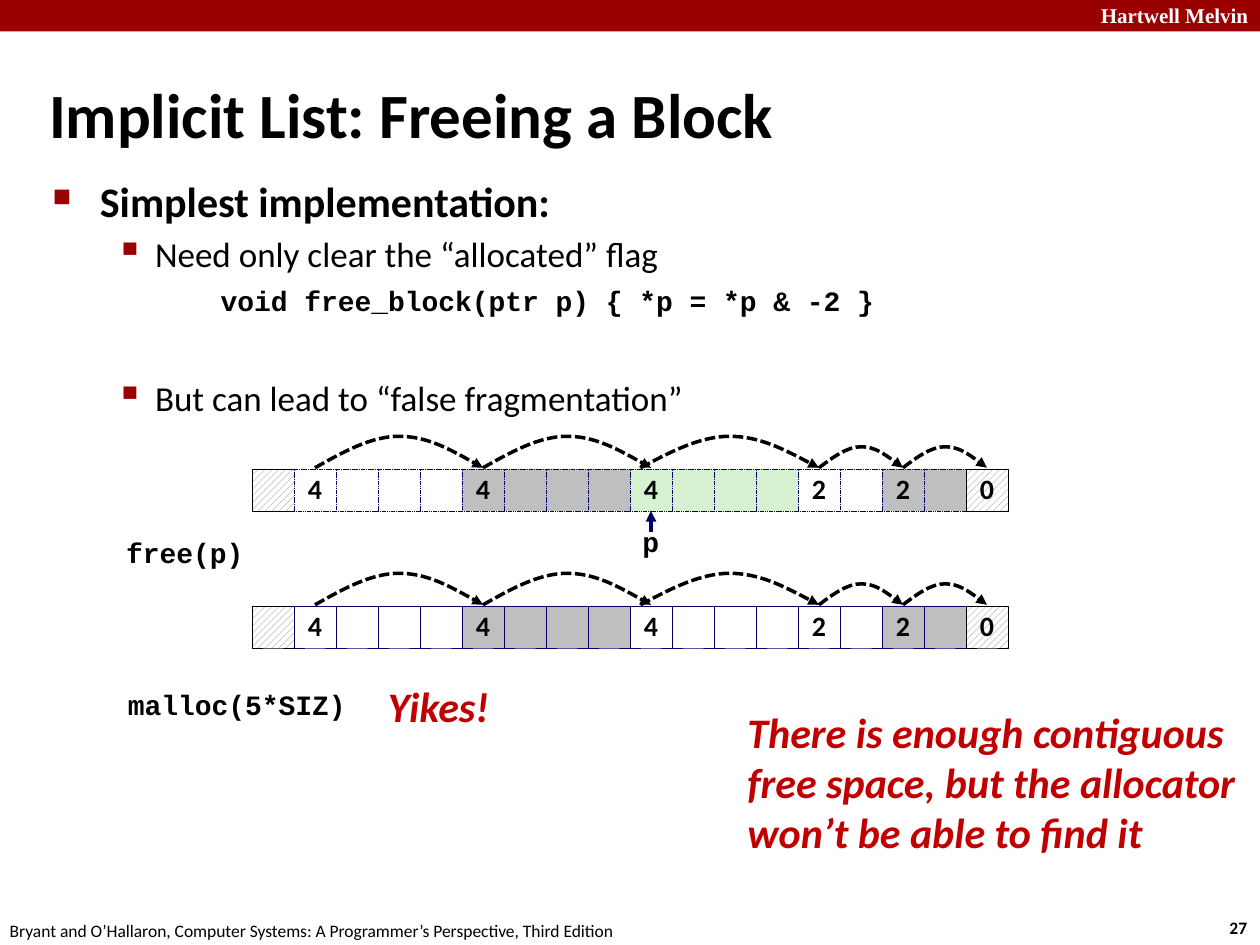
from lxml.etree import SubElement
from pptx import Presentation
from pptx.dml.color import RGBColor
from pptx.enum.dml import MSO_LINE, MSO_PATTERN
from pptx.enum.shapes import MSO_CONNECTOR, MSO_SHAPE
from pptx.enum.text import MSO_ANCHOR, PP_ALIGN
from pptx.oxml.ns import qn
from pptx.util import Pt

BLACK, WHITE, GRAY, GREEN = "000000", "FFFFFF", "BFBFBF", "D5F1CF"
CRIMSON, WARNING, NAVY = "990000", "C00000", "000066"
WORD = 24
HEAP_LEFT = 144
P_BLOCK = 2

LABEL = {"size": Pt(16), "name": "Calibri", "bold": True}
CODE = {"size": Pt(16), "name": "Courier New", "bold": True}
SMALL = {"size": Pt(10), "name": "Calibri"}
ALERT = {"size": Pt(24), "name": "Calibri", "bold": True, "italic": True}
HEADING = {"size": Pt(24), "name": "Calibri", "bold": True}
POINT = {"size": Pt(20), "name": "Calibri"}

# text, font, colour of bullet text, left margin, hanging indent, space before, bullet
BODY = [
    ("Simplest implementation:", HEADING, 27, 27, 4.8, ("■", 60)),
    ("Need only clear the “allocated” flag", POINT, 58.5, 22.5, 4, ("▪", 110)),
    ("void free_block(ptr p) { *p = *p & -2 }", CODE, 96, 0, 5.4, None),
    ("But can lead to “false fragmentation”", POINT, 58.5, 22.5, 33.8, ("▪", 110)),
]


def rgb(hex_colour):
    return RGBColor.from_string(hex_colour)


def apply(target, values):
    for name, value in values.items():
        setattr(target, name, value)


def write(paragraph, text, font, colour, **layout):
    """Fill a paragraph; a vertical tab in the text becomes a line break."""
    paragraph.text = text
    apply(paragraph, layout)
    for run in paragraph.runs:
        apply(run.font, font)
        run.font.color.rgb = rgb(colour)


def add_text(slide, box, text, font, colour=BLACK, anchor=MSO_ANCHOR.TOP,
             wrap=False, **layout):
    frame = slide.shapes.add_textbox(*map(Pt, box)).text_frame
    apply(frame, {"word_wrap": wrap, "vertical_anchor": anchor})
    write(frame.paragraphs[0], text, font, colour, **layout)
    return frame


def add_bullet(properties, mark, percent):
    colour = SubElement(properties, qn("a:buClr"))
    SubElement(colour, qn("a:srgbClr"), val=CRIMSON)
    SubElement(properties, qn("a:buSzPct"), val=str(percent * 1000))
    SubElement(properties, qn("a:buChar"), char=mark)


def add_body(slide):
    frame = slide.shapes.add_textbox(*map(Pt, (23, 96.5, 654.5, 342))).text_frame
    frame.word_wrap = True
    for number, (text, font, margin, hang, before, bullet) in enumerate(BODY):
        paragraph = frame.add_paragraph() if number else frame.paragraphs[0]
        write(paragraph, text, font, BLACK, space_before=Pt(before))
        properties = paragraph._p.get_or_add_pPr()
        properties.set("marL", str(Pt(margin)))
        properties.set("indent", str(-Pt(hang)))
        if bullet:
            add_bullet(properties, *bullet)


def add_word(slide, index, top, fill, text="", dash=None):
    """Draw one word of the heap; a fill of None means a hatched boundary word."""
    word = slide.shapes.add_shape(
        MSO_SHAPE.RECTANGLE, Pt(HEAP_LEFT + index * WORD), Pt(top), Pt(WORD), Pt(WORD))
    word.shadow.inherit = False
    if fill:
        word.fill.solid()
        word.fill.fore_color.rgb = rgb(fill)
    else:
        word.fill.patterned()
        word.fill.pattern = MSO_PATTERN.WIDE_UPWARD_DIAGONAL
        word.fill.fore_color.rgb = rgb("808080")
        word.fill.back_color.rgb = rgb(WHITE)
    word.line.color.rgb = rgb(NAVY if fill else BLACK)
    apply(word.line, {"width": Pt(0.25), "dash_style": dash})
    if text:
        apply(word.text_frame, {"word_wrap": False, "vertical_anchor": MSO_ANCHOR.MIDDLE})
        write(word.text_frame.paragraphs[0], text, LABEL, BLACK,
              alignment=PP_ALIGN.CENTER, line_spacing=0.98)


def add_arrowhead(shape):
    SubElement(shape.line._get_or_add_ln(), qn("a:tailEnd"), type="triangle")


def add_hop(slide, start, end, base, height):
    """Draw a dashed arc, made of two Bézier curves, to the next block."""
    controls = [(1 / 6, 0.5), (1 / 3, 1), (1 / 2, 1), (2 / 3, 1), (5 / 6, 0.5), (1, 0)]
    builder = slide.shapes.build_freeform(Pt(start), Pt(base))
    builder.add_line_segments(
        [(Pt(start + x * (end - start)), Pt(base - y * height)) for x, y in controls],
        close=False)
    hop = builder.convert_to_shape()
    segments = hop._element.xpath(".//a:lnTo")
    for first in (0, 3):
        curve = segments[first]
        curve.tag = qn("a:cubicBezTo")
        for segment in segments[first + 1:first + 3]:
            curve.append(segment[0])
            segment.getparent().remove(segment)
    hop.shadow.inherit = False
    hop.fill.background()
    hop.line.color.rgb = rgb(BLACK)
    apply(hop.line, {"width": Pt(2), "dash_style": MSO_LINE.SQUARE_DOT})
    add_arrowhead(hop)


def add_heap(slide, top, p_fill, dash=None):
    blocks = [(4, WHITE), (4, GRAY), (4, p_fill), (2, WHITE), (2, GRAY)]
    add_word(slide, 0, top, None)
    index = 1
    for number, (size, fill) in enumerate(blocks):
        for offset in range(size):
            add_word(slide, index + offset, top, fill, "" if offset else str(size), dash)
        start = HEAP_LEFT + (index + 0.5) * WORD
        lead = 6 if number == P_BLOCK else 0
        add_hop(slide, start - lead, start + size * WORD, top - 0.7,
                18 if size == 4 else 12)
        index += size
    add_word(slide, index, top, None, "0")


def add_pointer(slide, x, bottom, top):
    pointer = slide.shapes.add_connector(
        MSO_CONNECTOR.STRAIGHT, Pt(x), Pt(bottom), Pt(x), Pt(top))
    pointer.line.color.rgb = rgb(NAVY)
    pointer.line.width = Pt(2)
    add_arrowhead(pointer)
    SubElement(pointer._element.spPr, qn("a:effectLst"))


def add_page_frame(slide):
    banner = slide.shapes.add_shape(MSO_SHAPE.RECTANGLE, 0, 0, Pt(720), Pt(18))
    banner.shadow.inherit = False
    banner.fill.solid()
    banner.fill.fore_color.rgb = rgb(CRIMSON)
    banner.line.fill.background()
    add_text(slide, (622, -2, 103, 21.6), "Hartwell Melvin",
             {"size": Pt(12), "name": "Times New Roman", "bold": True}, WHITE)
    add_text(slide, (695.5, 520.5, 26.6, 19.4), "27", {**SMALL, "bold": True})
    add_text(slide, (-1.5, 522, 366, 19.4),
             "Bryant and O’Hallaron, Computer Systems: "
             "A Programmer’s Perspective, Third Edition", SMALL)


def main():
    presentation = Presentation()
    apply(presentation, {"slide_width": Pt(720), "slide_height": Pt(540)})
    slide = presentation.slides.add_slide(presentation.slide_layouts[6])
    add_page_frame(slide)
    add_text(slide, (21, 42, 567, 45), "Implicit List: Freeing a Block",
             {**HEADING, "size": Pt(36)}, anchor=MSO_ANCHOR.MIDDLE, wrap=True)
    add_body(slide)

    add_heap(slide, 268, GREEN, MSO_LINE.SQUARE_DOT)
    add_heap(slide, 346.3, WHITE)
    add_pointer(slide, 372, 304, 292)
    for text, box in [("p", (360, 298, 24, 26)),
                      ("free(p)", (65, 304, 82, 26)),
                      ("malloc(5*SIZ)", (66, 391, 140, 26))]:
        add_text(slide, box, text, CODE, line_spacing=0.94)

    add_text(slide, (214.5, 385, 73, 37.4), "Yikes!", ALERT, WARNING, line_spacing=1.02)
    verdict = add_text(slide, (420, 400, 296, 117), "There is enough contiguous",
                       ALERT, WARNING)
    write(verdict.add_paragraph(),
          "free space, but the allocator\vwon’t be able to find it", ALERT, WARNING)
    presentation.save("out.pptx")


if __name__ == "__main__":
    main()
